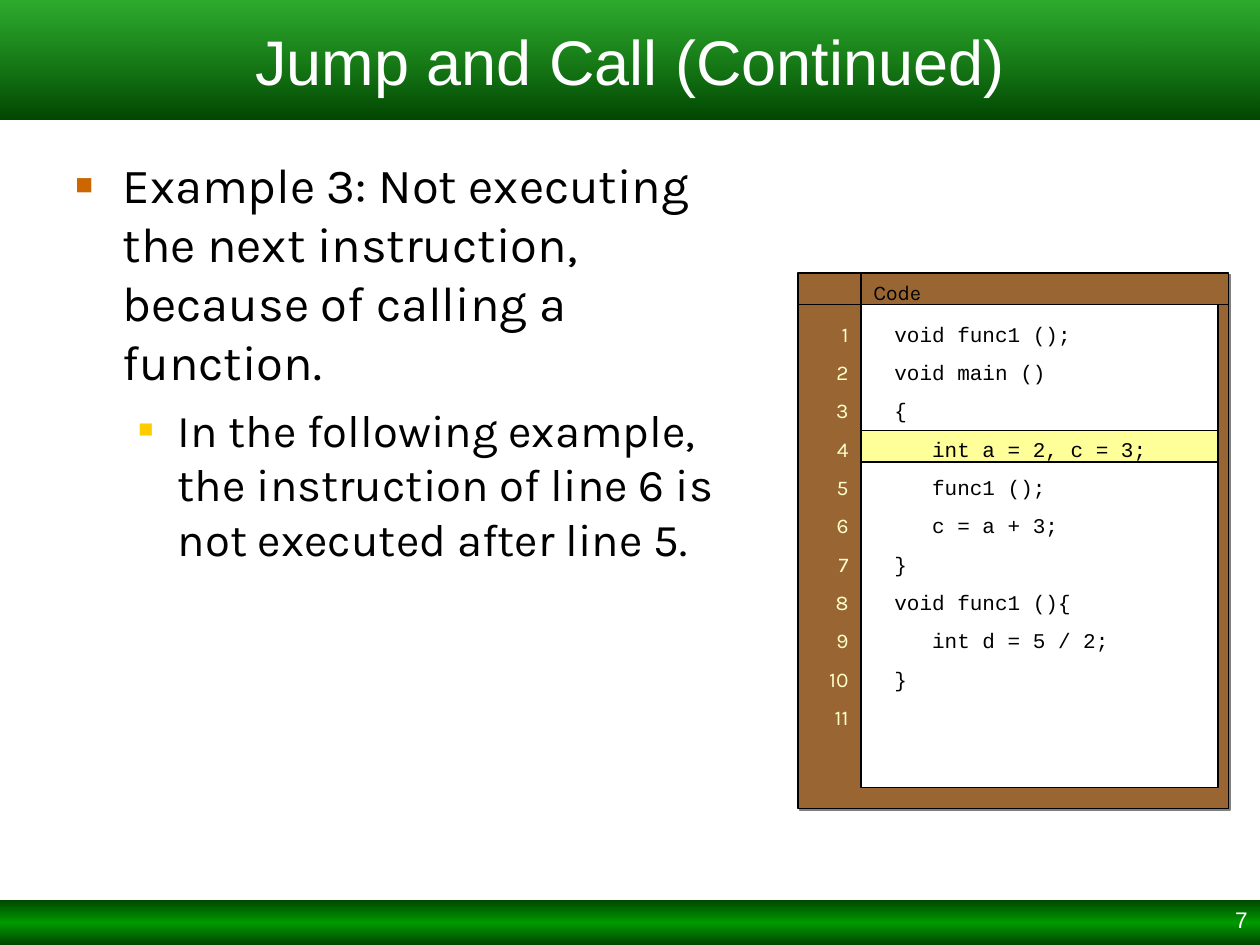
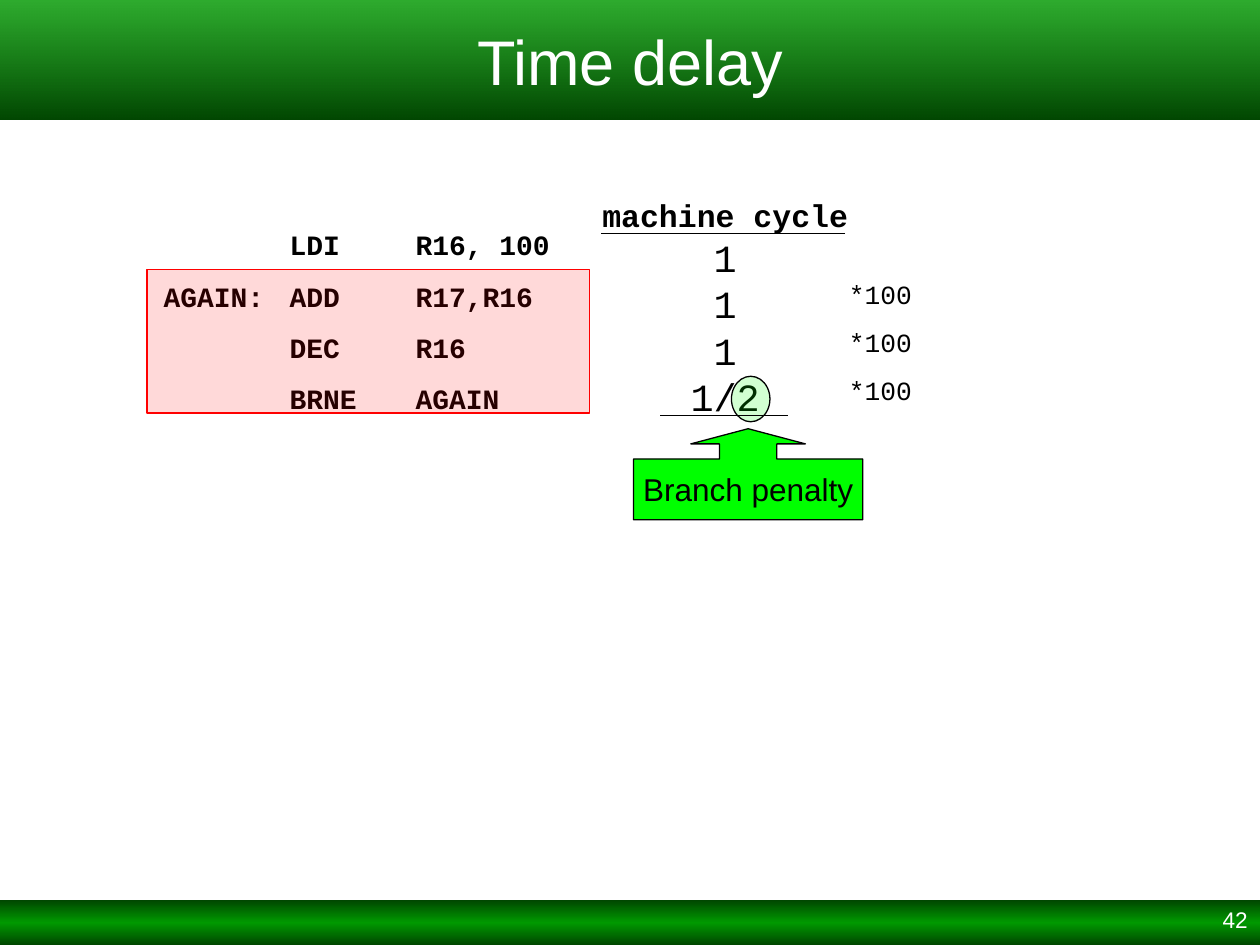
"""Build two slides on microcontroller jumps, calls and time delays."""
import pptx
import pptx.util
import pptx.dml.color
import pptx.enum.shapes
import pptx.enum.text
import pptx.oxml.ns
from lxml import etree

Pt = pptx.util.Pt
RGB = pptx.dml.color.RGBColor.from_string
qn = pptx.oxml.ns.qn
SHAPE = pptx.enum.shapes.MSO_SHAPE
ALIGN = pptx.enum.text.PP_ALIGN
ANCHOR = pptx.enum.text.MSO_ANCHOR

COLORS = {
    "black": "000000", "white": "FFFFFF", "green": "009900", "dark_green": "004700",
    "brown": "996633", "cream": "FFFFCC", "highlight": "FFFF99", "shadow": "808080",
    "orange": "CC6600", "gold": "FFCC00", "red": "FF0000", "lime": "00FF00",
}
TITLE_STOPS = [(0, "green", 82), (100, "dark_green", 100)]
FOOTER_STOPS = [(0, "dark_green", 100), (50, "green", 100), (100, "dark_green", 100)]


def add_box(s, kind, box, fill, line=None, alpha=None):
    """Add a preset shape; fill is a colour name or a list of gradient stops."""
    sp = s.shapes.add_shape(kind, *map(Pt, box))
    sp.shadow.inherit = False
    if isinstance(fill, list):
        sp.fill.gradient()
        sp.fill.gradient_angle = 270
        stops = sp._element.spPr.find(".//" + qn("a:gsLst"))
        for gs in list(stops):
            stops.remove(gs)
        for pos, color, opacity in fill:
            gs = etree.SubElement(stops, qn("a:gs"), pos=str(pos * 1000))
            clr = etree.SubElement(gs, qn("a:srgbClr"), val=COLORS[color])
            etree.SubElement(clr, qn("a:alpha"), val=str(opacity * 1000))
    else:
        sp.fill.solid()
        sp.fill.fore_color.rgb = RGB(COLORS[fill])
        if alpha:
            clr = sp._element.spPr.find(".//" + qn("a:srgbClr"))
            etree.SubElement(clr, qn("a:alpha"), val=str(alpha * 1000))
    if line:
        sp.line.color.rgb = RGB(COLORS[line])
        sp.line.width = Pt(0.75)
    else:
        sp.line.fill.background()
    return sp


def add_text(sp, text, size, font="Arial", color="black", bold=False, align=ALIGN.LEFT,
             anchor=ANCHOR.TOP, before=0, spacing=None, wrap=True, tabs=()):
    """Write one paragraph per line of text into a shape."""
    tf = sp.text_frame
    tf.word_wrap = wrap
    tf.vertical_anchor = anchor
    for i, line in enumerate(text.split("\n")):
        p = tf.add_paragraph() if i else tf.paragraphs[0]
        p.alignment = align
        if i and before:
            p.space_before = Pt(before)
        if spacing:
            p.line_spacing = spacing
        if tabs:
            tab_list = etree.SubElement(p._p.get_or_add_pPr(), qn("a:tabLst"))
            for pos in tabs:
                etree.SubElement(tab_list, qn("a:tab"), pos=str(Pt(pos)), algn="l")
        r = p.add_run()
        r.text = line
        r.font.size = Pt(size)
        r.font.name = font
        r.font.bold = bold
        r.font.color.rgb = RGB(COLORS[color])
    return tf


prs = pptx.Presentation()
prs.slide_width = Pt(720)
prs.slide_height = Pt(540)

slides = []
for title, number in [("Jump and Call (Continued)", "7"), ("Time delay", "42")]:
    s = prs.slides.add_slide(prs.slide_layouts[6])
    add_box(s, SHAPE.RECTANGLE, (0, 514.5, 720, 25.5), FOOTER_STOPS)
    page = s.shapes.add_textbox(Pt(552), Pt(516), Pt(168), Pt(24))
    add_text(page, number, 12.9, color="white", align=ALIGN.RIGHT, spacing=0.9)
    band = add_box(s, SHAPE.RECTANGLE, (0, 0, 720, 68.5), TITLE_STOPS)
    add_text(band, title, 36, color="white", align=ALIGN.CENTER, anchor=ANCHOR.MIDDLE)
    slides.append(s)
call_slide, delay_slide = slides

body = call_slide.shapes.add_textbox(Pt(36), Pt(85), Pt(403), Pt(424))
tf = add_text(body, "Example 3: Not executing the next instruction, because of calling a function.\n"
              "In the following example, the instruction of line 6 is not executed after line 5.",
              28, font="Karla", before=6.5)
bullets = [(28, 27, 27, "orange", 60), (26, 58.5, 22.5, "gold", 55)]
for level, (p, (size, left, hang, color, scale)) in enumerate(zip(tf.paragraphs, bullets)):
    p.level = level
    p.runs[0].font.size = Pt(size)
    pPr = p._p.get_or_add_pPr()
    pPr.set("marL", str(Pt(left)))
    pPr.set("indent", str(-Pt(hang)))
    clr = etree.SubElement(pPr, qn("a:buClr"))
    etree.SubElement(clr, qn("a:srgbClr"), val=COLORS[color])
    etree.SubElement(pPr, qn("a:buSzPct"), val=str(scale * 1000))
    etree.SubElement(pPr, qn("a:buFont"), typeface="Arial")
    etree.SubElement(pPr, qn("a:buChar"), char="■")

frame = add_box(call_slide, SHAPE.RECTANGLE, (456, 156, 246, 306), "brown", "black")
effects = frame._element.spPr.find(qn("a:effectLst"))
shadow = etree.SubElement(effects, qn("a:outerShdw"), dist=str(Pt(1.4)), dir="2700000")
etree.SubElement(shadow, qn("a:srgbClr"), val=COLORS["shadow"])

add_box(call_slide, SHAPE.RECTANGLE, (492, 174, 204, 276), "white", "black")
add_box(call_slide, SHAPE.RECTANGLE, (492, 246, 204, 18), "highlight", "black")

code = """void func1 ();
void main ()
{
   int a = 2, c = 3;
   func1 ();
   c = a + 3;
}
void func1 (){
   int d = 5 / 2;
}"""
line_numbers = "\n".join(str(n) for n in range(1, 12))
for text, x, y, w, h, font, color, align in [
    (line_numbers, 462, 180, 30, 241, "Karla", "cream", ALIGN.RIGHT),
    (code, 504, 180, 180, 219, "Courier New", "black", ALIGN.LEFT),
    ("Code", 492, 156, 114, 21.6, "Karla", "black", ALIGN.LEFT),
]:
    sp = call_slide.shapes.add_textbox(Pt(x), Pt(y), Pt(w), Pt(h))
    add_text(sp, text, 12, font=font, color=color, align=align, before=7.5)

assembly = "\tLDI\tR16, 100\nAGAIN:\tADD\tR17,R16\n\tDEC\tR16\n\tBRNE\tAGAIN"
cycles = "machine cycle\n1\n1\n1\n1/2"
repeats = "\n".join(["*100"] * 3)
for text, x, y, w, h, fmt in [
    (assembly, 86.4, 126.7, 260, 114.5, dict(size=16, bold=True, before=10, tabs=(72, 144))),
    (cycles, 306, 108.7, 216.7, 161.3, dict(size=22, align=ALIGN.CENTER)),
    (repeats, 478, 155.5, 75.6, 80, dict(size=15, before=9.4)),
]:
    sp = delay_slide.shapes.add_textbox(Pt(x), Pt(y), Pt(w), Pt(h))
    tf = add_text(sp, text, font="Courier New", **fmt)
    if text == cycles:
        heading = tf.paragraphs[0].runs[0]
        heading.font.size = Pt(18)
        heading.font.bold = True

add_box(delay_slide, SHAPE.RECTANGLE, (84, 154, 252.7, 82), "red", "red", alpha=15)
add_box(delay_slide, SHAPE.OVAL, (418, 215, 22, 26), "lime", "black", alpha=18)
callout = add_box(delay_slide, SHAPE.UP_ARROW_CALLOUT, (362, 245, 131, 52), "lime", "black")
for i, value in enumerate((0.63, 0.63, 0.167, 0.667)):
    callout.adjustments[i] = value
add_text(callout, "Branch penalty", 18, align=ALIGN.CENTER, anchor=ANCHOR.MIDDLE, wrap=False)

for s, x1, y1, x2, y2 in [
    (call_slide, 492, 174, 492, 156),
    (call_slide, 456, 174, 702, 174),
    (delay_slide, 483, 133.3, 343.2, 133.3),
    (delay_slide, 450, 237.5, 377.2, 237.5),
]:
    line = s.shapes.add_connector(pptx.enum.shapes.MSO_CONNECTOR.STRAIGHT,
                                  Pt(x1), Pt(y1), Pt(x2), Pt(y2))
    line.line.color.rgb = RGB(COLORS["black"])
    line.line.width = Pt(0.75)
    etree.SubElement(line._element.spPr, qn("a:effectLst"))

prs.save("out.pptx")
